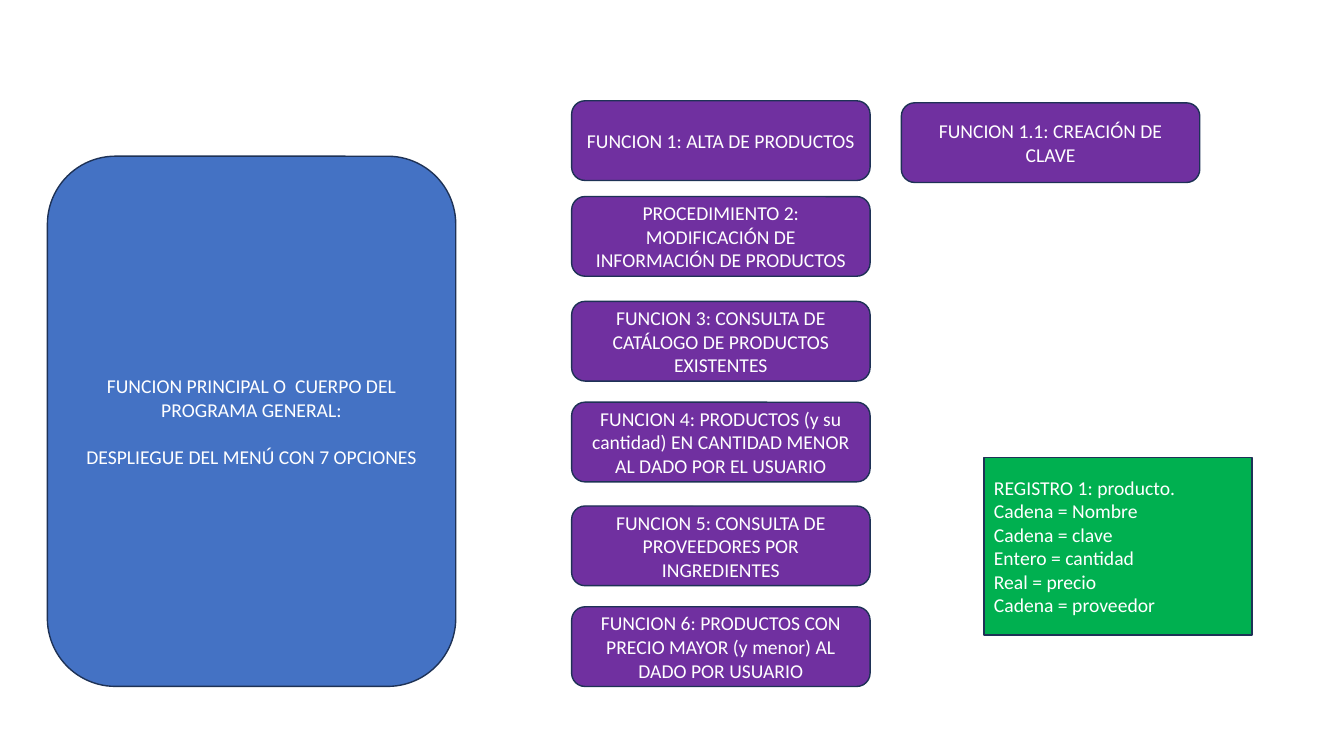
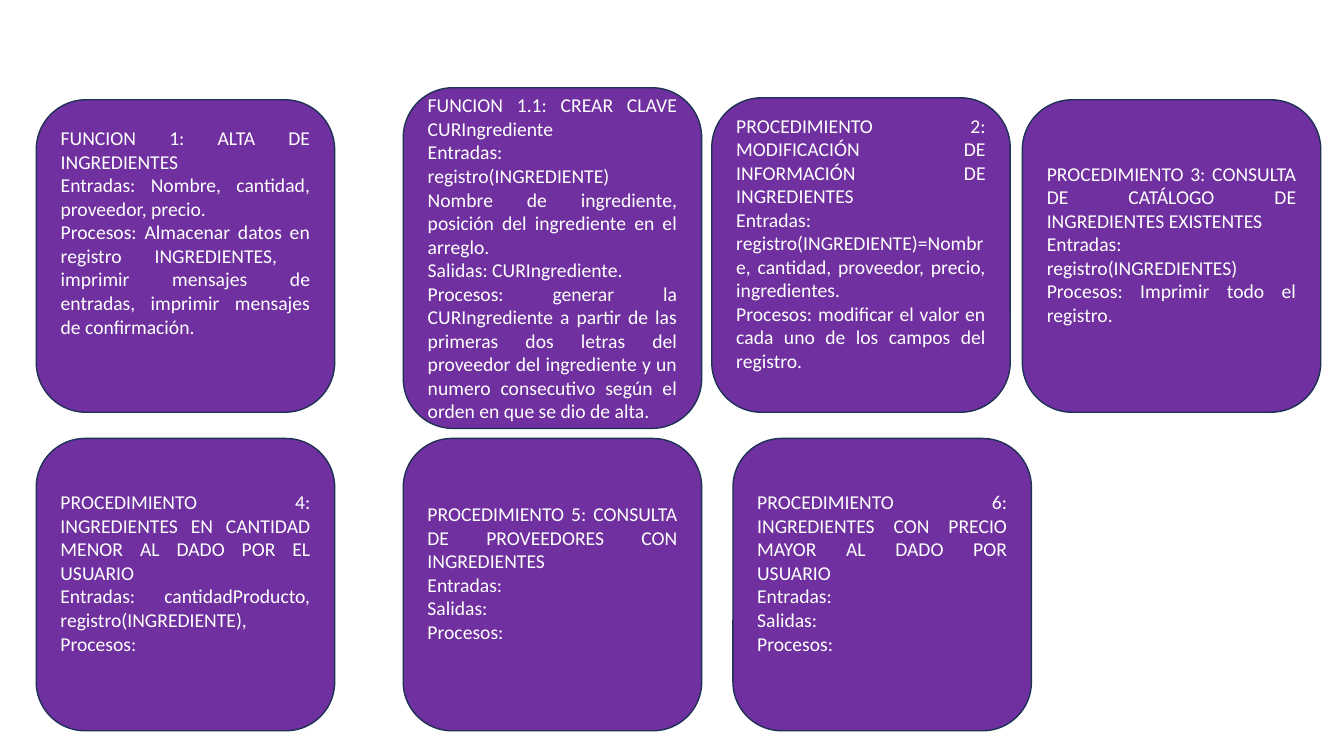
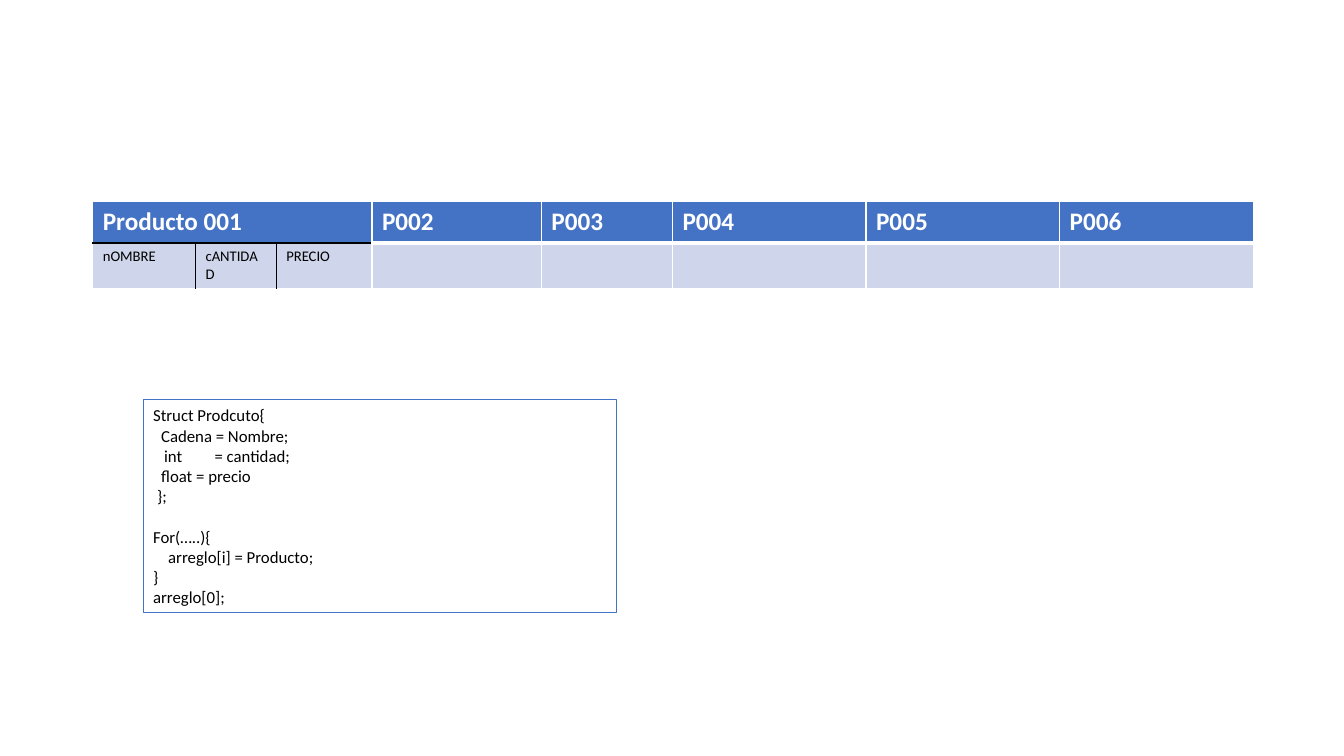
import pptx
import pptx.util
import pptx.dml.color
import pptx.enum.shapes
import pptx.enum.text
import pptx.oxml.ns
import lxml.etree

Inches = pptx.util.Inches
Pt = pptx.util.Pt
SHAPE = pptx.enum.shapes.MSO_SHAPE
ALIGN = pptx.enum.text.PP_ALIGN
qn = pptx.oxml.ns.qn

# Shared style
FONT = "Calibri"
LINE_SPACING = 1.22  # line height of the font, in ems
COLORS = {"blue": "4472C4", "purple": "7030A0", "green": "00B050", "edge": "1E3256",
          "white": "FFFFFF", "black": "000000", "pale": "CFD5EA"}
CARD_WIDTH = 2.96

# Slide 1: program outline
MAIN = ["FUNCION PRINCIPAL O  CUERPO DEL PROGRAMA GENERAL:",
        "DESPLIEGUE DEL MENÚ CON 7 OPCIONES"]
FUNCTIONS = [
    (5.67, 1, "FUNCION 1: ALTA DE PRODUCTOS"),
    (5.67, 1.95, "PROCEDIMIENTO 2: MODIFICACIÓN DE INFORMACIÓN DE PRODUCTOS"),
    (5.67, 2.99, "FUNCION 3: CONSULTA DE CATÁLOGO DE PRODUCTOS EXISTENTES"),
    (5.67, 3.99, "FUNCION 4: PRODUCTOS (y su cantidad) EN CANTIDAD MENOR AL DADO POR EL USUARIO"),
    (5.67, 5.02, "FUNCION 5: CONSULTA DE PROVEEDORES POR INGREDIENTES"),
    (5.67, 6.02, "FUNCION 6: PRODUCTOS CON PRECIO MAYOR (y menor) AL DADO POR USUARIO"),
    (8.94, 1.02, "FUNCION 1.1: CREACIÓN DE CLAVE"),
]
RECORD = ["REGISTRO 1: producto.", "Cadena = Nombre", "Cadena = clave",
          "Entero = cantidad", "Real = precio", "Cadena = proveedor"]

# Slide 2: left, top, height, free lines below the text, paragraphs
DETAILS = [
    (0.36, 0.99, 3.1, 2, [
        "FUNCION 1: ALTA DE INGREDIENTES",
        "Entradas: Nombre, cantidad, proveedor, precio.",
        "Procesos: Almacenar datos en registro INGREDIENTES,  imprimir mensajes de "
        "entradas, imprimir mensajes de confirmación."]),
    (4, 0.87, 3.38, 0, [
        "FUNCION 1.1: CREAR CLAVE CURIngrediente",
        "Entradas: registro(INGREDIENTE) Nombre de ingrediente, posición del ingrediente "
        "en el arreglo.",
        "Salidas: CURIngrediente.",
        "Procesos: generar la CURIngrediente a partir de las primeras dos letras del "
        "proveedor del ingrediente y un numero consecutivo según el orden en que se dio "
        "de alta."]),
    (7.06, 0.97, 3.12, 1, [
        "PROCEDIMIENTO 2: MODIFICACIÓN DE INFORMACIÓN DE INGREDIENTES",
        "Entradas: registro(INGREDIENTE)=Nombre, cantidad, proveedor, precio, ingredientes.",
        "Procesos: modificar el valor en cada uno de los campos del registro."]),
    (10.14, 0.99, 3.1, 1, [
        "PROCEDIMIENTO 3: CONSULTA DE CATÁLOGO DE INGREDIENTES EXISTENTES",
        "Entradas: registro(INGREDIENTES)",
        "Procesos: Imprimir todo el registro."]),
    (0.36, 4.35, 2.9, 1, [
        "PROCEDIMIENTO 4: INGREDIENTES EN CANTIDAD MENOR AL DADO POR EL USUARIO",
        "Entradas: cantidadProducto, registro(INGREDIENTE),",
        "Procesos:"]),
    (4, 4.35, 2.9, 1, [
        "PROCEDIMIENTO 5: CONSULTA DE PROVEEDORES CON INGREDIENTES",
        "Entradas:", "Salidas:", "Procesos:"]),
    (7.27, 4.35, 2.9, 1, [
        "PROCEDIMIENTO 6: INGREDIENTES CON PRECIO MAYOR AL DADO POR USUARIO",
        "Entradas:", "Salidas:", "Procesos:"]),
]

# Slide 3: product array and its code
COLUMNS = [1.02, 0.8, 0.95, 1.68, 1.3, 1.92, 1.92, 1.92]
ROWS = [0.41, 0.45]
HEADER = ["Producto 001", "", "", "P002", "P003", "P004", "P005", "P006"]
FIELDS = ["nOMBRE", "cANTIDAD", "PRECIO", "", "", "", "", ""]
MERGED = 3  # columns under the first product
CODE = [("Struct Prodcuto{", 0), ("Cadena = Nombre;", 0.08), ("int\t= cantidad;", 0.11),
        ("float = precio", 0.08), ("};", 0.04), ("For(…..){", 0),
        ("arreglo[i] = Producto;", 0.15), ("}", 0), ("arreglo[0];", 0)]
LOOP_START = 5


def color(name):
    return pptx.dml.color.RGBColor.from_string(COLORS[name])


def add_span(para, text, size, ink, bold=False):
    span = para.add_run()
    span.text = text
    span.font.name, span.font.size, span.font.bold = FONT, Pt(size), bold
    span.font.color.rgb = color(ink)


def add_box(page, kind, place, fill, lines, align, size=14, ink="white",
            edge="edge", edge_width=1, free_lines=0, gap_before=None):
    """Add a shape with text; gap_before is the paragraph that follows a free line."""
    box = page.shapes.add_shape(kind, *[Inches(value) for value in place])
    box.shadow.inherit = False
    if fill:
        box.fill.solid()
        box.fill.fore_color.rgb = color(fill)
    else:
        box.fill.background()
    box.line.color.rgb, box.line.width = color(edge), Pt(edge_width)
    frame = box.text_frame
    frame.word_wrap = True
    frame.vertical_anchor = pptx.enum.text.MSO_ANCHOR.MIDDLE
    frame.margin_bottom = Inches(0.05) + Pt(free_lines * size * LINE_SPACING)
    for index, line in enumerate(lines):
        para = frame.paragraphs[0] if index == 0 else frame.add_paragraph()
        para.alignment = align
        if index == gap_before:
            para.space_before = Pt(size * LINE_SPACING)
        add_span(para, line, size, ink)
    return box


def set_borders(cell, **sides):
    """Draw cell borders, each given as (colour name, points)."""
    properties = cell._tc.get_or_add_tcPr()
    for position, side in enumerate("LRTB"):
        name, width = sides.get(side, ("white", 1))
        line = lxml.etree.Element(qn("a:ln" + side), w=str(Pt(width)))
        fill = lxml.etree.SubElement(line, qn("a:solidFill"))
        lxml.etree.SubElement(fill, qn("a:srgbClr"), val=COLORS[name])
        properties.insert(position, line)


deck = pptx.Presentation()
deck.slide_width, deck.slide_height = Inches(13.33), Inches(7.5)
outline, details, array = [deck.slides.add_slide(deck.slide_layouts[6]) for _ in range(3)]

# Program outline
add_box(outline, SHAPE.ROUNDED_RECTANGLE, (0.47, 1.55, 4.05, 5.26), "blue", MAIN,
        ALIGN.CENTER, gap_before=1)
for left, top, title in FUNCTIONS:
    add_box(outline, SHAPE.ROUNDED_RECTANGLE, (left, top, CARD_WIDTH, 0.79), "purple",
            [title], ALIGN.CENTER)
add_box(outline, SHAPE.RECTANGLE, (9.76, 4.54, 2.66, 1.76), "green", RECORD, ALIGN.JUSTIFY)

# Function details
for left, top, height, free_lines, lines in DETAILS:
    add_box(details, SHAPE.ROUNDED_RECTANGLE, (left, top, CARD_WIDTH, height), "purple",
            lines, ALIGN.JUSTIFY, free_lines=free_lines)

# Product array
table = array.shapes.add_table(len(ROWS), len(COLUMNS), Inches(0.92), Inches(2),
                               Inches(sum(COLUMNS)), Inches(sum(ROWS))).table
table.first_row = table.horz_banding = False
for column, width in zip(table.columns, COLUMNS):
    column.width = Inches(width)
for row, height in zip(table.rows, ROWS):
    row.height = Inches(height)
styles = [(HEADER, "blue", 18, "white", True), (FIELDS, "pale", 10.5, "black", False)]
for row_index, (texts, fill, size, ink, bold) in enumerate(styles):
    for column_index, text in enumerate(texts):
        cell = table.cell(row_index, column_index)
        cell.fill.solid()
        cell.fill.fore_color.rgb = color(fill)
        if text:
            add_span(cell.text_frame.paragraphs[0], text, size, ink, bold)
        black = ("black", 1)
        sides = {}
        if row_index == 0:
            sides["B"] = black if column_index < MERGED else ("white", 3)
        elif column_index < MERGED:
            sides["T"] = black
            if column_index > 0:
                sides["L"] = black
            if column_index < MERGED - 1:
                sides["R"] = black
        set_borders(cell, **sides)
table.cell(0, 0).merge(table.cell(0, MERGED - 1))

# Code listing
listing = add_box(array, SHAPE.RECTANGLE, (1.42, 3.96, 4.7, 2.12), None,
                  [line for line, _ in CODE], ALIGN.LEFT, size=12, ink="black",
                  edge="blue", edge_width=0.75, gap_before=LOOP_START)
for para, (line, indent) in zip(listing.text_frame.paragraphs, CODE):
    properties = para._p.get_or_add_pPr()
    properties.set("marL", str(Inches(indent)))
    properties.set("indent", "0")
    if "\t" in line:
        stops = lxml.etree.SubElement(properties, qn("a:tabLst"))
        lxml.etree.SubElement(stops, qn("a:tab"), pos=str(Inches(0.4)), algn="l")

deck.save("out.pptx")
